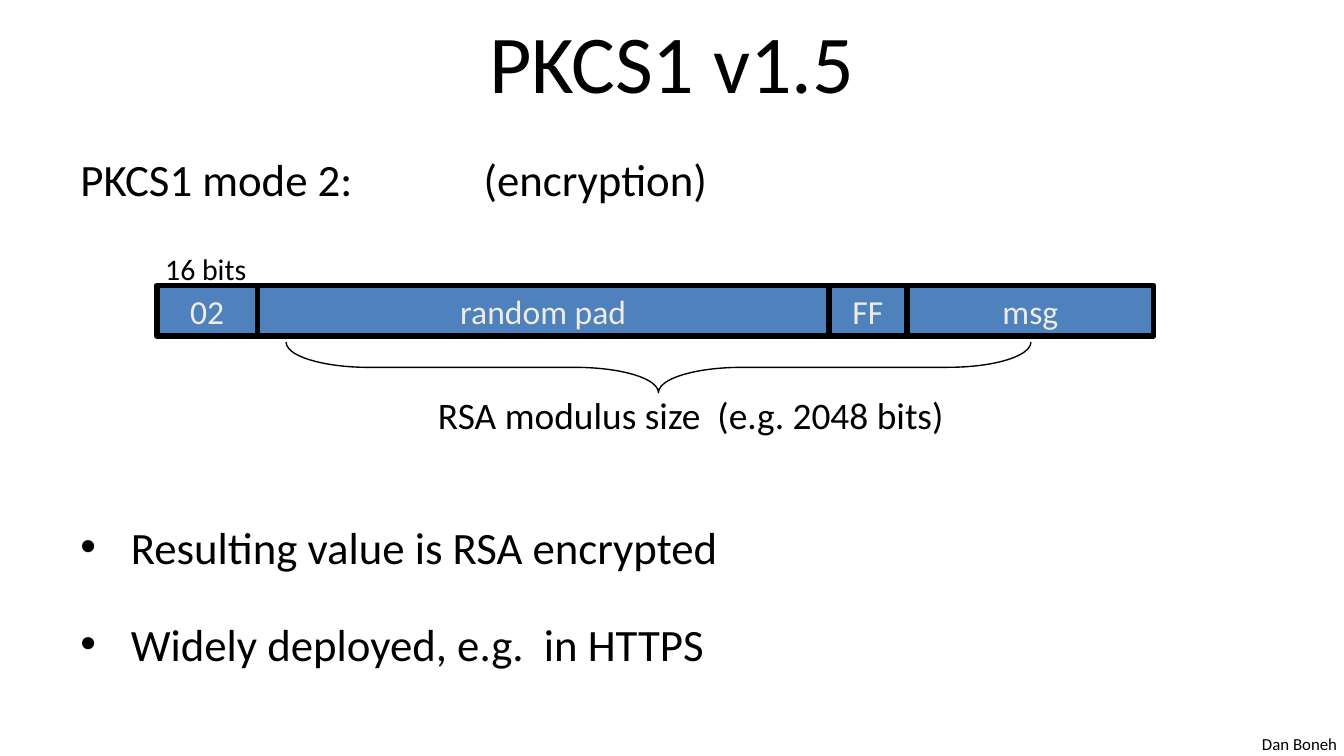
import pptx
import pptx.dml.color
import pptx.enum.shapes
import pptx.enum.text
import pptx.oxml.ns
import pptx.util
from lxml import etree

ALIGN = pptx.enum.text.PP_ALIGN
ANCHOR = pptx.enum.text.MSO_ANCHOR
SHAPE = pptx.enum.shapes.MSO_SHAPE

CELL = 1 / 12  # grid cell in inches: 120 columns by 67.5 rows


def grid(cells):
    return pptx.util.Inches(cells * CELL)


def color(hex_string):
    return pptx.dml.color.RGBColor.from_string(hex_string)


class SlideBuilder:
    font_name = "Calibri"
    ink = "000000"
    field_fill = "4F81BD"
    field_ink = "EEECE1"

    def __init__(self, slide):
        self.slide = slide

    def format_text(self, paragraph, size, hex_string, align):
        paragraph.alignment = align
        for run in paragraph.runs:
            run.font.name = self.font_name
            run.font.size = pptx.util.Pt(size)
            run.font.color.rgb = color(hex_string)

    def text(self, box, lines, size, align=ALIGN.LEFT, wrap=True, anchor=ANCHOR.TOP):
        shape = self.slide.shapes.add_textbox(*map(grid, box))
        text_frame = shape.text_frame
        text_frame.word_wrap = wrap
        text_frame.vertical_anchor = anchor
        text_frame.text = "\n".join(lines)
        for paragraph in text_frame.paragraphs:
            self.format_text(paragraph, size, self.ink, align)
        return text_frame

    def tabbed_line(self, box, line, size, tab_stop):
        paragraph = self.text(box, [line], size).paragraphs[0]
        tabs = etree.SubElement(paragraph._p.get_or_add_pPr(), pptx.oxml.ns.qn("a:tabLst"))
        etree.SubElement(tabs, pptx.oxml.ns.qn("a:tab"), pos=str(grid(tab_stop)), algn="l")

    def bullets(self, box, lines, size, indent, gap):
        text_frame = self.text(box, lines, size)
        for index, paragraph in enumerate(text_frame.paragraphs):
            properties = paragraph._p.get_or_add_pPr()
            properties.set("marL", str(grid(indent)))
            properties.set("indent", str(-grid(indent)))
            etree.SubElement(properties, pptx.oxml.ns.qn("a:buFont"), typeface="Arial")
            etree.SubElement(properties, pptx.oxml.ns.qn("a:buChar"), char="•")
            if index:
                paragraph.space_before = pptx.util.Pt(gap)

    def field(self, box, label, size):
        shape = self.slide.shapes.add_shape(SHAPE.RECTANGLE, *map(grid, box))
        shape.shadow.inherit = False
        shape.fill.solid()
        shape.fill.fore_color.rgb = color(self.field_fill)
        shape.line.color.rgb = color(self.ink)
        shape.line.width = pptx.util.Pt(3)
        text_frame = shape.text_frame
        text_frame.word_wrap = False
        text_frame.vertical_anchor = ANCHOR.MIDDLE
        text_frame.text = label
        self.format_text(text_frame.paragraphs[0], size, self.field_ink, ALIGN.CENTER)

    def brace_below(self, center, middle, length, depth):
        # A left brace turned to point down, placed by its center
        box = (center - depth / 2, middle - length / 2, depth, length)
        shape = self.slide.shapes.add_shape(SHAPE.LEFT_BRACE, *map(grid, box))
        shape.rotation = 270
        shape.adjustments[0] = 1.64
        shape.adjustments[1] = 0.5
        shape.shadow.inherit = False
        shape.fill.background()
        shape.line.color.rgb = color(self.ink)
        shape.line.width = pptx.util.Pt(0.75)


def main():
    presentation = pptx.Presentation()
    presentation.slide_width = grid(120)
    presentation.slide_height = grid(67.5)
    builder = SlideBuilder(presentation.slides.add_slide(presentation.slide_layouts[6]))

    # Footer, title and opening line
    builder.text((111.5, 64.9, 9.1, 3), ["Dan Boneh"], 9, wrap=False)
    builder.text((6, -0.25, 108, 11.25), ["PKCS1 v1.5"], 44, ALIGN.CENTER, anchor=ANCHOR.MIDDLE)
    builder.tabbed_line((6, 13, 107, 6), "PKCS1 mode 2:\t(encryption)", 24, tab_stop=36)

    # Message fields, side by side
    left = 14
    for label, width in (("02", 9), ("random pad", 51), ("FF", 7), ("msg", 22)):
        builder.field((left, 25.5, width, 4.5), label, 18)
        left += width

    # Size labels and brace
    builder.text((13.5, 21.75, 9.75, 4.4), ["16 bits"], 16, ALIGN.CENTER, wrap=False)
    builder.brace_below(center=58.8, middle=32.8, length=66.5, depth=4.5)
    builder.text((37.3, 34.4, 48.8, 5.3), ["RSA modulus size  (e.g. 2048 bits)"], 20,
                 ALIGN.CENTER, wrap=False)

    # Closing points
    points = ["Resulting value is RSA encrypted", "Widely deployed, e.g.  in HTTPS"]
    builder.bullets((6, 45.8, 107, 16), points, 24, indent=4.5, gap=23)

    presentation.save("out.pptx")


if __name__ == "__main__":
    main()
